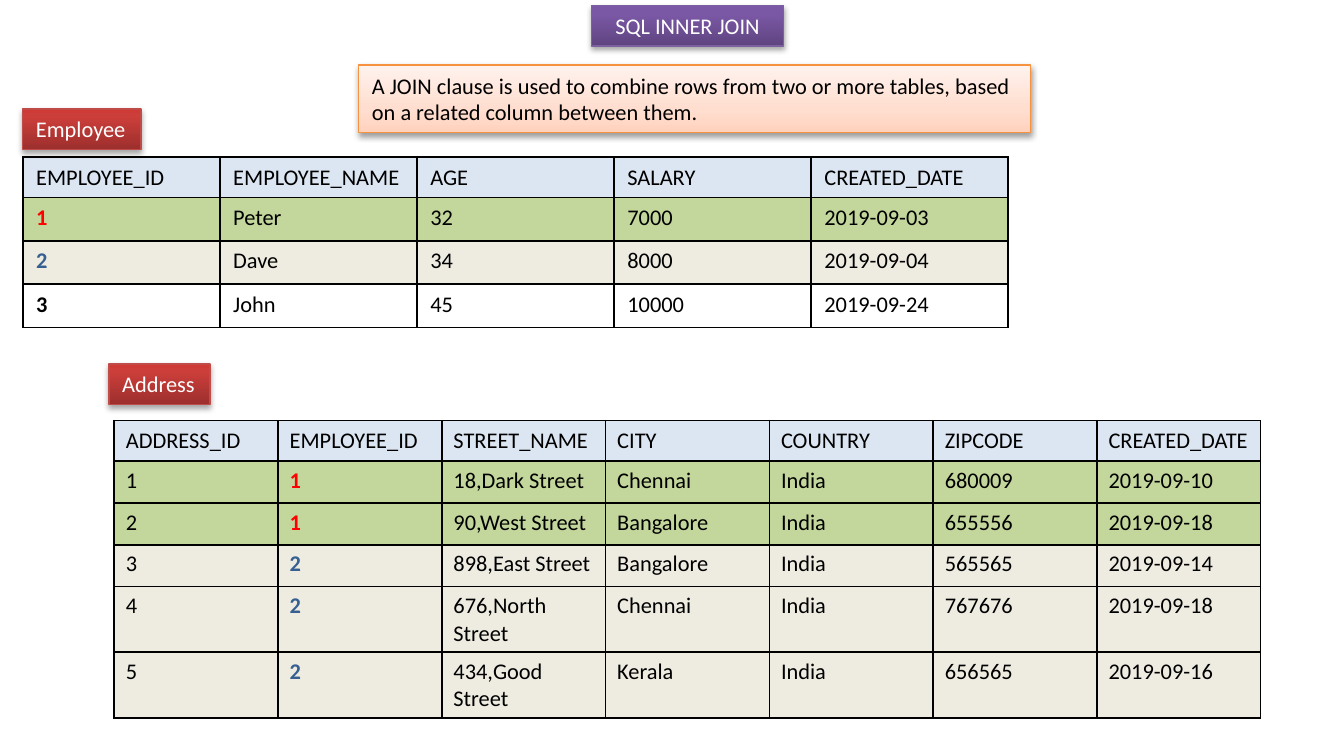
import pptx
import pptx.dml.color
import pptx.enum.shapes
import pptx.enum.text
import pptx.oxml
import pptx.oxml.ns
import pptx.util
from lxml import etree

Cm = pptx.util.Cm
Pt = pptx.util.Pt
RGB = pptx.dml.color.RGBColor
qn = pptx.oxml.ns.qn
Anchor = pptx.enum.text.MSO_ANCHOR
Align = pptx.enum.text.PP_ALIGN
AutoSize = pptx.enum.text.MSO_AUTO_SIZE

BLACK = RGB(0x00, 0x00, 0x00)
WHITE = RGB(0xFF, 0xFF, 0xFF)
HEADER = RGB(0xDC, 0xE6, 0xF2)
GREEN = RGB(0xC3, 0xD6, 0x9B)
BEIGE = RGB(0xEE, 0xEC, 0xE1)
RED = RGB(0xFF, 0x00, 0x00)
BLUE = RGB(0x37, 0x60, 0x92)

PURPLE_BOX = {
    "stops": [(0, RGB(0x5F, 0x44, 0x80)), (80, RGB(0x7B, 0x58, 0xA6)),
              (100, RGB(0x7C, 0x57, 0xA8))],
    "line": RGB(0x7D, 0x60, 0xA0), "font": WHITE, "align": Align.CENTER,
    "wrap": True, "fit": AutoSize.NONE, "shadow": (35, 1.8)}
RED_BOX = {
    "stops": [(0, RGB(0x9C, 0x2F, 0x2D)), (80, RGB(0xCB, 0x3E, 0x3A)),
              (100, RGB(0xCE, 0x3B, 0x37))],
    "line": RGB(0xBF, 0x4C, 0x48), "font": WHITE, "align": Align.LEFT,
    "wrap": False, "fit": AutoSize.SHAPE_TO_FIT_TEXT, "shadow": (35, 1.8)}
ORANGE_BOX = {
    "stops": [(0, RGB(0xFF, 0xD2, 0xBD)), (35, RGB(0xFF, 0xDE, 0xD0)),
              (100, RGB(0xFF, 0xF2, 0xED))],
    "line": RGB(0xF6, 0x92, 0x40), "font": BLACK, "align": Align.LEFT,
    "wrap": True, "fit": AutoSize.SHAPE_TO_FIT_TEXT, "shadow": (38, 1.6)}

MATCH_STYLES = {"1": (GREEN, RED), "2": (BEIGE, BLUE), "3": (WHITE, BLACK)}

EMPLOYEES = [
    ["EMPLOYEE_ID", "EMPLOYEE_NAME", "AGE", "SALARY", "CREATED_DATE"],
    ["1", "Peter", "32", "7000", "2019-09-03"],
    ["2", "Dave", "34", "8000", "2019-09-04"],
    ["3", "John", "45", "10000", "2019-09-24"],
]
ADDRESSES = [
    ["ADDRESS_ID", "EMPLOYEE_ID", "STREET_NAME", "CITY", "COUNTRY", "ZIPCODE",
     "CREATED_DATE"],
    ["1", "1", "18,Dark Street", "Chennai", "India", "680009", "2019-09-10"],
    ["2", "1", "90,West Street", "Bangalore", "India", "655556", "2019-09-18"],
    ["3", "2", "898,East Street", "Bangalore", "India", "565565", "2019-09-14"],
    ["4", "2", "676,North Street", "Chennai", "India", "767676", "2019-09-18"],
    ["5", "2", "434,Good Street", "Kerala", "India", "656565", "2019-09-16"],
]


def set_attrs(obj, values):
    for name, value in values.items():
        setattr(obj, name, value)


def write_text(tf, text, color, bold=False, align=Align.LEFT):
    p = tf.paragraphs[0]
    p.alignment = align
    r = p.add_run()
    r.text = text
    set_attrs(r.font, {"name": "Calibri", "size": Pt(12), "bold": bold})
    r.font.color.rgb = color


def add_color(parent, color):
    return etree.SubElement(parent, qn("a:srgbClr"), val=str(color))


def style_box(sp, box, text, style):
    left, top, width, height = box
    set_attrs(sp, {"left": Cm(left), "top": Cm(top),
                   "width": Cm(width), "height": Cm(height)})
    sp.fill.gradient()
    sp.fill.gradient_angle = 90
    stops = next(sp.element.spPr.iter(qn("a:gsLst")))
    for gs in list(stops):
        stops.remove(gs)
    for pos, color in style["stops"]:
        add_color(etree.SubElement(stops, qn("a:gs"), pos=str(pos * 1000)), color)
    sp.line.color.rgb = style["line"]
    sp.line.width = Pt(0.75)

    sp.shadow.inherit = False
    alpha, dist = style["shadow"]
    shadow = etree.SubElement(
        sp.element.spPr.find(qn("a:effectLst")), qn("a:outerShdw"),
        blurRad=str(Pt(3.1)), dist=str(Pt(dist)), dir="5400000", rotWithShape="0")
    etree.SubElement(add_color(shadow, BLACK), qn("a:alpha"), val=str(alpha * 1000))

    tf = sp.text_frame
    set_attrs(tf, {"word_wrap": style["wrap"], "vertical_anchor": Anchor.TOP,
                   "auto_size": style["fit"]})
    write_text(tf, text, style["font"], align=style["align"])


def add_box(s, box, text, style):
    sp = s.shapes.add_shape(pptx.enum.shapes.MSO_SHAPE.RECTANGLE, 0, 0, 0, 0)
    style_box(sp, box, text, style)


def set_borders(cell):
    tcPr = cell._tc.get_or_add_tcPr()
    for side in ("a:lnL", "a:lnR", "a:lnT", "a:lnB"):
        ln = etree.SubElement(tcPr, qn(side), w=str(Pt(1)))
        add_color(etree.SubElement(ln, qn("a:solidFill")), BLACK)


def add_data_table(s, box, rows, heights, key_col, margins):
    left, top, width = box
    cols = len(rows[0])
    table = s.shapes.add_table(len(rows), cols, Cm(left), Cm(top), Cm(width),
                               Cm(sum(heights))).table
    set_attrs(table, {"first_row": False, "horz_banding": False})
    for column in table.columns:
        column.width = Cm(width / cols)
    for i, (values, height) in enumerate(zip(rows, heights)):
        table.rows[i].height = Cm(height)
        fill, key_color = MATCH_STYLES.get(values[key_col], (HEADER, BLACK))
        for j, value in enumerate(values):
            cell = table.cell(i, j)
            is_key = i > 0 and j == key_col
            set_borders(cell)
            cell.fill.solid()
            cell.fill.fore_color.rgb = fill
            set_attrs(cell, margins)
            cell.vertical_anchor = Anchor.TOP if i else Anchor.MIDDLE
            write_text(cell.text_frame, value, key_color if is_key else BLACK, is_key)


def add_heading(s):
    style_box(s.shapes.title, (11.18, 0.1, 3.63, 0.77), "SQL INNER JOIN", PURPLE_BOX)
    add_box(s, (6.78, 1.23, 12.7, 1.28),
            "A JOIN clause is used to combine rows from two or more tables, "
            "based on a related column between them.", ORANGE_BOX)


def add_employee(s, left, top):
    add_data_table(s, (left, top + 0.91, 18.62), EMPLOYEES, [0.76] + [0.82] * 3, 0, {})
    add_box(s, (left, top, 2.24, 0.77), "Employee", RED_BOX)


def add_address(s, left, top):
    margins = {"margin_left": Cm(0.22), "margin_right": Cm(0.22),
               "margin_top": Cm(0.11), "margin_bottom": Cm(0.11)}
    add_data_table(s, (left + 0.1, top + 1.07, 21.67), ADDRESSES,
                   [0.77] + [0.79] * 3 + [1.24] * 2, 1, margins)
    add_box(s, (left, top, 1.91, 0.77), "Address", RED_BOX)


def main():
    prs = pptx.Presentation()
    set_attrs(prs, {"slide_width": Cm(25.4), "slide_height": Cm(13.97)})
    s = prs.slides.add_slide(prs.slide_layouts[5])
    add_heading(s)
    add_employee(s, 0.43, 2.06)
    add_address(s, 2.06, 6.88)
    prs.save("out.pptx")


if __name__ == "__main__":
    main()
